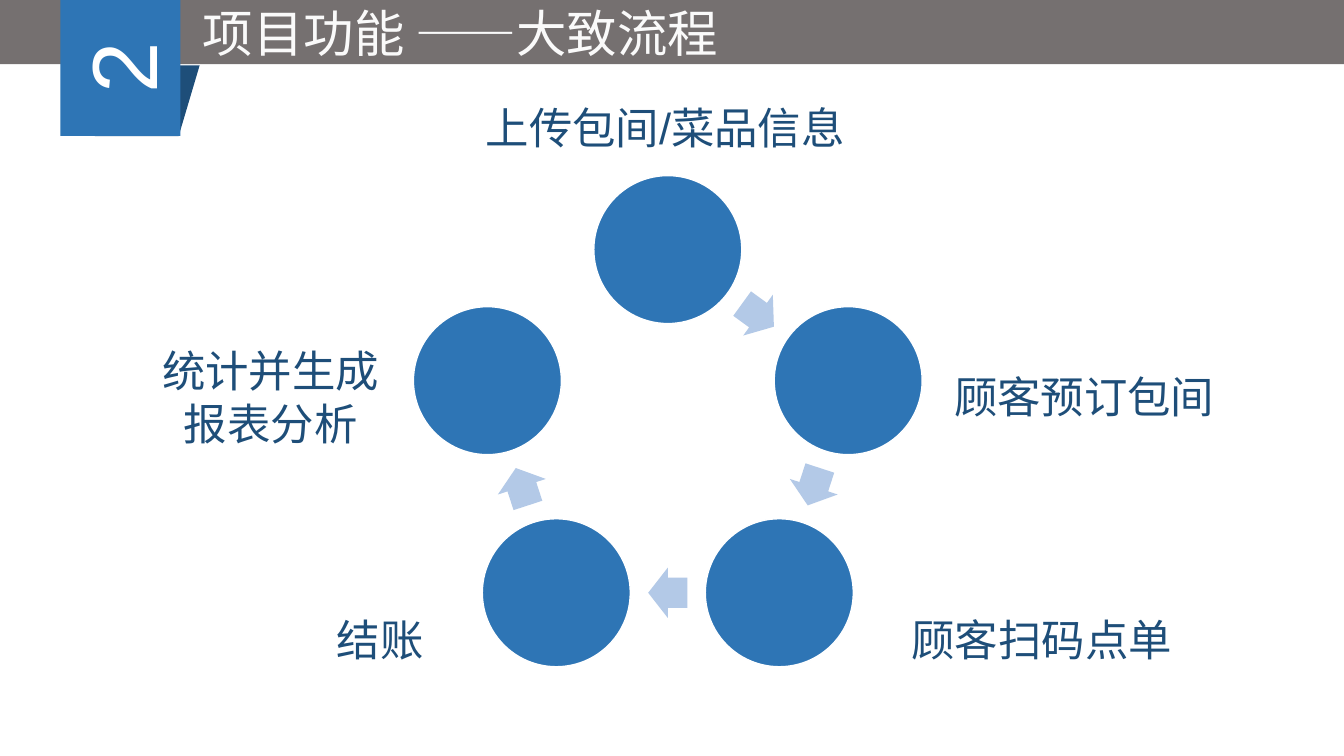
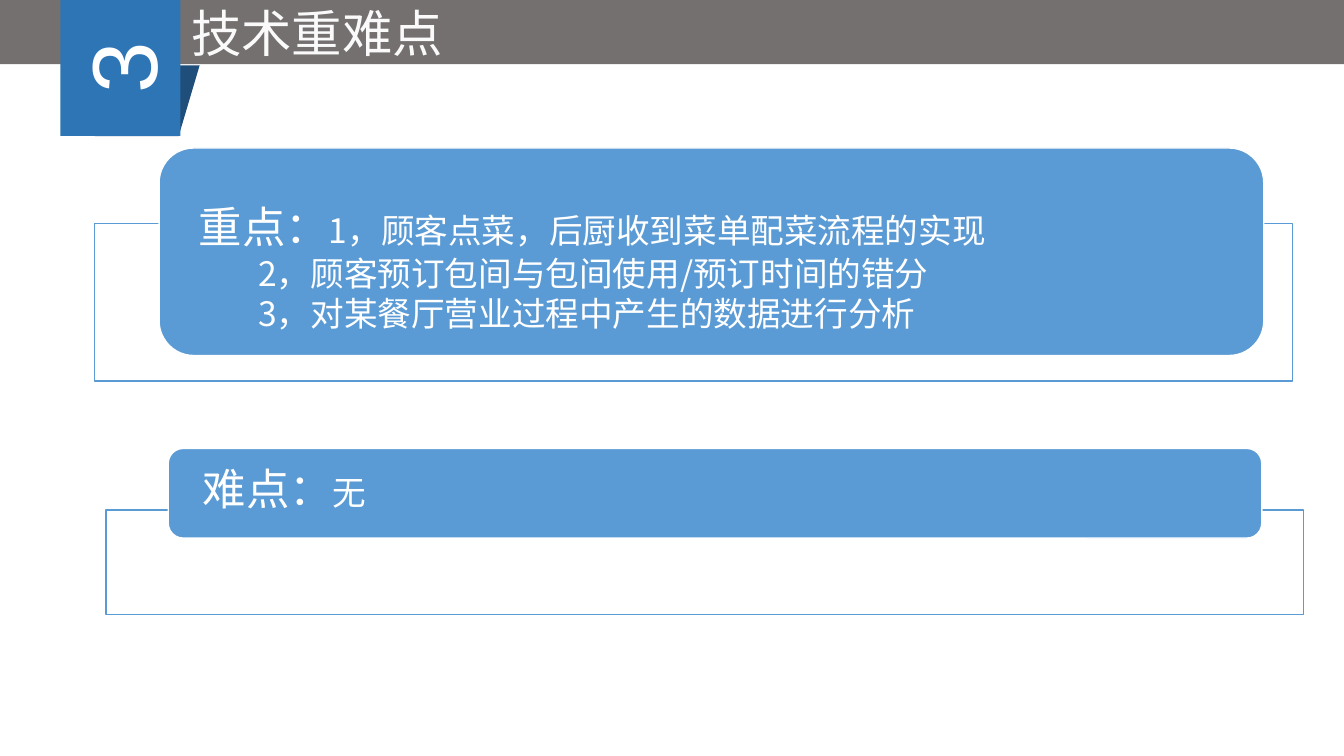
import math

from lxml import etree
from pptx import Presentation
from pptx import util as u
from pptx.dml.color import RGBColor
from pptx.enum import shapes, text
from pptx.oxml import ns

# Shared look
COLORS = {
    "band": "757070", "title": "FAFAFA", "white": "FFFFFF",
    "tab": "2E75B5", "navy": "1E4E79", "arrow": "B3C9E7", "panel": "5B9BD5",
}
LATIN, CJK = "Arial", "Noto Sans CJK SC"
SHAPE, ANCHOR, ALIGN = shapes.MSO_SHAPE, text.MSO_ANCHOR, text.PP_ALIGN
SLIDE_W, SLIDE_H = 33.87, 19.05

# Content: boxes are left, top, width, height in centimetres
FLOW = {"number": "2", "title": "项目功能 ——大致流程", "title_box": (3.73, -0.08, 15.75, 1.8)}
FLOW_STEPS = [
    (["上传包间/菜品信息"], (12.14, 1.65, 10.59, 3.28), ALIGN.LEFT),
    (["顾客预订包间"], (23.27, 8.74, 8.1, 2.67), ALIGN.CENTER),
    (["顾客扫码点单"], (22.2, 14.86, 8.1, 2.67), ALIGN.CENTER),
    (["结账"], (4.52, 14.86, 10.13, 2.67), ALIGN.CENTER),
    (["统计并生成", "报表分析"], (2.77, 8.74, 8.1, 2.67), ALIGN.CENTER),
]
RING = {"x": 16.83, "y": 11.07, "radius": 4.78, "circle": 3.73, "arrow": (0.99, 1.27)}

ISSUES = {"number": "3", "title": "技术重难点", "title_box": (4.32, -0.08, 7.34, 1.8)}
PANELS = [
    {
        "heading": "重点：",
        "points": ["1，顾客点菜，后厨收到菜单配菜流程的实现",
                   "2，顾客预订包间与包间使用/预订时间的错分",
                   "3，对某餐厅营业过程中产生的数据进行分析"],
        "frame": (2.39, 5.64, 30.18, 3.96),
        "plate": (4.01, 3.73, 27.84, 5.23),
        "text": (4.22, 3.56, 27.08, 6.48),
    },
    {
        "heading": "难点：",
        "points": ["无"],
        "frame": (2.67, 12.85, 30.18, 2.64),
        "plate": (4.24, 11.3, 27.56, 2.26),
        "text": (4.32, 11.3, 25.55, 2.16),
    },
]


def rgb(name):
    return RGBColor.from_string(COLORS[name])


def set_all(target, values):
    for name, value in values.items():
        setattr(target, name, value)


def cm_box(box):
    return [u.Cm(value) for value in box]


def centred(x, y, width, height):
    return x - width / 2, y - height / 2, width, height


# Drawing helpers
def add_figure(slide, kind, box, fill, line=None, rotation=0):
    figure = slide.shapes.add_shape(kind, *cm_box(box))
    figure.shadow.inherit = False
    figure.rotation = rotation
    figure.fill.solid()
    figure.fill.fore_color.rgb = rgb(fill)
    if line:
        figure.line.color.rgb = rgb(line)
        figure.line.width = u.Pt(1)
    else:
        figure.line.fill.background()
    return figure


def add_run(paragraph, words, size, color, latin=LATIN):
    run = paragraph.add_run()
    run.text = words
    set_all(run.font, {"size": u.Pt(size), "name": latin})
    run.font.color.rgb = rgb(color)
    east_asian = etree.Element(ns.qn("a:ea"), typeface=CJK)
    run.font._element.find(ns.qn("a:latin")).addnext(east_asian)


def add_text_frame(slide, box, margin_x, margin_y):
    frame = slide.shapes.add_textbox(*cm_box(box)).text_frame
    set_all(frame, {
        "word_wrap": True, "vertical_anchor": ANCHOR.MIDDLE,
        "margin_left": u.Cm(margin_x), "margin_right": u.Cm(margin_x),
        "margin_top": u.Cm(margin_y), "margin_bottom": u.Cm(margin_y),
    })
    return frame


def next_paragraph(frame, index, align, after):
    paragraph = frame.add_paragraph() if index else frame.paragraphs[0]
    set_all(paragraph, {"alignment": align, "line_spacing": 0.9, "space_after": u.Pt(after)})
    return paragraph


def add_titled_slide(deck, heading):
    slide = deck.slides.add_slide(deck.slide_layouts[5])
    title = slide.shapes.title
    band = add_figure(slide, SHAPE.RECTANGLE, (0, -0.03, SLIDE_W, 1.65), "band")
    title.element.addprevious(band.element)
    set_all(title, dict(zip(("left", "top", "width", "height"), cm_box(heading["title_box"]))))
    set_all(title.text_frame, {
        "vertical_anchor": ANCHOR.TOP, "word_wrap": True,
        "auto_size": text.MSO_AUTO_SIZE.NONE,
    })
    line = title.text_frame.paragraphs[0]
    line.alignment = ALIGN.CENTER
    add_run(line, heading["title"], 36, "title")
    return slide


def add_number_tab(slide, number):
    add_figure(slide, SHAPE.FLOWCHART_DATA, (2.39, 1.65, 2.64, 1.78), "navy", rotation=180)
    tab = add_figure(slide, SHAPE.RECTANGLE, (1.32, 0.2, 3.43, 3.02), "tab", rotation=270)
    tab.text_frame.vertical_anchor = ANCHOR.MIDDLE
    line = tab.text_frame.paragraphs[0]
    line.alignment = ALIGN.CENTER
    add_run(line, number, 66, "white")


# Slide with the ring of steps
def build_flow(deck):
    slide = add_titled_slide(deck, FLOW)
    turn = 360 / len(FLOW_STEPS)
    midpoint_radius = RING["radius"] * math.cos(math.radians(turn / 2))

    def on_ring(degrees, radius):
        angle = math.radians(degrees)
        return RING["x"] + radius * math.sin(angle), RING["y"] - radius * math.cos(angle)

    for step in range(len(FLOW_STEPS)):
        x, y = on_ring(step * turn, RING["radius"])
        add_figure(slide, SHAPE.OVAL, centred(x, y, RING["circle"], RING["circle"]),
                   "tab", "white")
        if step < len(FLOW_STEPS) - 1:
            heading = (step + 0.5) * turn
            x, y = on_ring(heading, midpoint_radius)
            arrow = add_figure(slide, SHAPE.RIGHT_ARROW, centred(x, y, *RING["arrow"]),
                               "arrow", rotation=heading)
            arrow.adjustments[0] = 0.6
            arrow.adjustments[1] = 0.5

    for lines, box, align in FLOW_STEPS:
        frame = add_text_frame(slide, box, 0.1, 0.1)
        for index, words in enumerate(lines):
            add_run(next_paragraph(frame, index, align, 4), words, 31, "navy")
    add_number_tab(slide, FLOW["number"])


# Slide with the two panels
def build_issues(deck):
    slide = add_titled_slide(deck, ISSUES)
    add_number_tab(slide, ISSUES["number"])
    for panel in PANELS:
        frame = add_figure(slide, SHAPE.RECTANGLE, panel["frame"], "white", "panel")
        fill_color = frame.element.spPr.find(ns.qn("a:solidFill"))[0]
        etree.SubElement(fill_color, ns.qn("a:alpha"), val="89000")
        plate = add_figure(slide, SHAPE.ROUNDED_RECTANGLE, panel["plate"], "panel", "white")
        plate.adjustments[0] = 0.167

        body = add_text_frame(slide, panel["text"], 0.79, 0)
        for index, point in enumerate(panel["points"]):
            line = next_paragraph(body, index, ALIGN.LEFT, 3)
            if index:
                line._p.get_or_add_pPr().set("marL", str(u.Cm(1.5)))
            else:
                add_run(line, panel["heading"], 31, "white", CJK)
            add_run(line, point, 24, "white", CJK)


def main():
    deck = Presentation()
    set_all(deck, {"slide_width": u.Cm(SLIDE_W), "slide_height": u.Cm(SLIDE_H)})
    build_flow(deck)
    build_issues(deck)
    deck.save("out.pptx")


if __name__ == "__main__":
    main()
